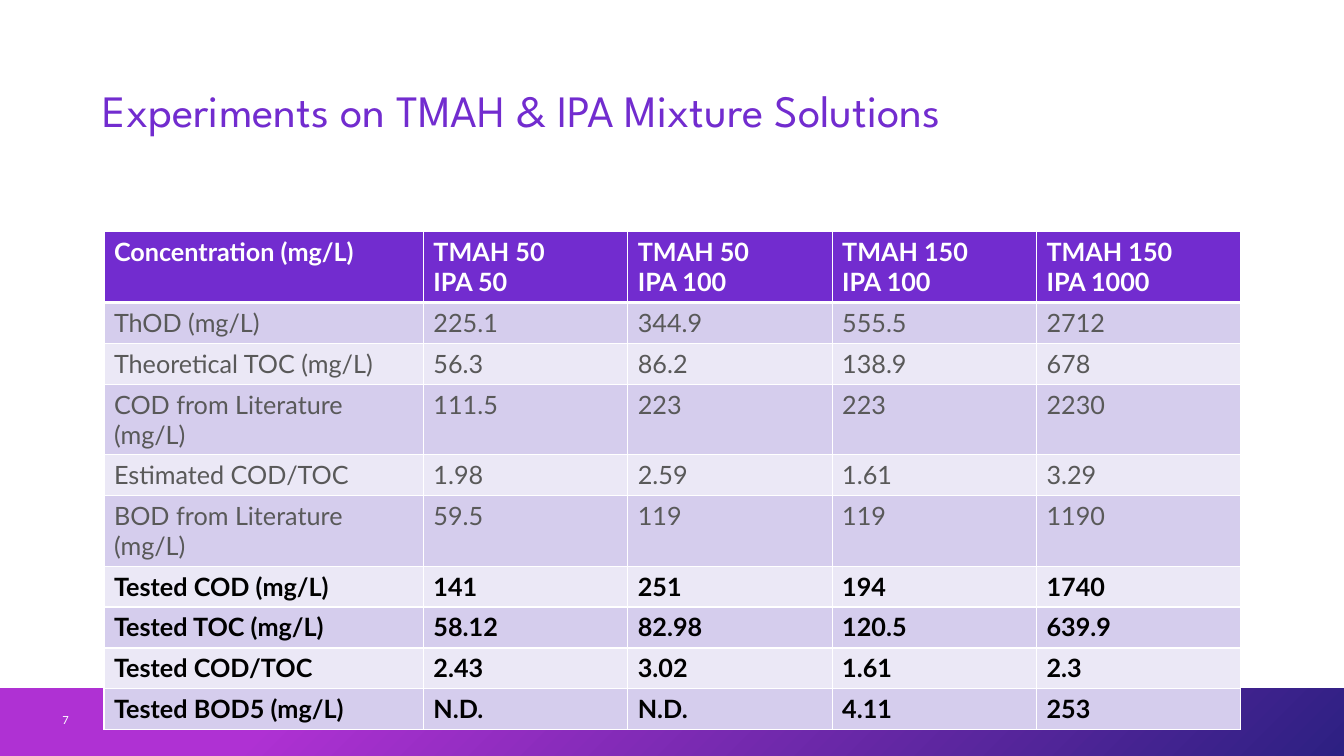
from lxml.etree import SubElement
from pptx import Presentation
from pptx.dml.color import RGBColor
from pptx.enum.shapes import MSO_SHAPE
from pptx.enum.text import MSO_ANCHOR, PP_ALIGN
from pptx.oxml.ns import qn
from pptx.util import Cm, Pt

PURPLE, WHITE, GREY, BLACK = "722CCF", "FFFFFF", "595959", "000000"
BANDS = ("D5CDED", "EBE8F6")
FIRST_TESTED = 6
ROWS = [
    ("Concentration (mg/L)", "TMAH 50\nIPA 50", "TMAH 50\nIPA 100", "TMAH 150\nIPA 100", "TMAH 150\nIPA 1000"),
    ("ThOD (mg/L)", "225.1", "344.9", "555.5", "2712"),
    ("Theoretical TOC (mg/L)", "56.3", "86.2", "138.9", "678"),
    ("COD from Literature (mg/L)", "111.5", "223", "223", "2230"),
    ("Estimated COD/TOC", "1.98", "2.59", "1.61", "3.29"),
    ("BOD from Literature (mg/L)", "59.5", "119", "119", "1190"),
    ("Tested COD (mg/L)", "141", "251", "194", "1740"),
    ("Tested TOC (mg/L)", "58.12", "82.98", "120.5", "639.9"),
    ("Tested COD/TOC", "2.43", "3.02", "1.61", "2.3"),
    ("Tested BOD5 (mg/L)", "N.D.", "N.D.", "4.11", "253"),
]


def rgb(color):
    """Turn a hex string into a colour."""
    return RGBColor.from_string(color)


def add_run(p, text, size, color, font="Lato", bold=False):
    """Add one formatted run to a paragraph."""
    r = p.add_run()
    r.text = text
    r.font.name, r.font.size, r.font.bold = font, Pt(size), bold
    r.font.color.rgb = rgb(color)


def set_border(cell, side, width):
    """Draw one white side of a table cell."""
    ln = SubElement(cell._tc.get_or_add_tcPr(), qn(f"a:ln{side}"), w=str(Pt(width)))
    fill = SubElement(ln, qn("a:solidFill"))
    SubElement(fill, qn("a:srgbClr"), val=WHITE)


def add_footer(s, x, y, w, h, number):
    """Draw the gradient band and the page number on it."""
    band = s.shapes.add_shape(MSO_SHAPE.RECTANGLE, x, y, w, h)
    band.shadow.inherit = False
    band.line.fill.background()
    band.fill.gradient()
    band.fill.gradient_angle = 315
    stops = zip(band.fill.gradient_stops, ((0.21, "AF31D3"), (1, "2D2082")))
    for stop, (position, color) in stops:
        stop.position = position
        stop.color.rgb = rgb(color)
    box = s.shapes.add_textbox(x + Cm(1.32), y + Cm(0.3), Cm(1.83), Cm(1.02))
    tf = box.text_frame
    tf.word_wrap = True
    tf.vertical_anchor = MSO_ANCHOR.MIDDLE
    add_run(tf.paragraphs[0], number, 8, WHITE)


def add_title(s, x, y, w, h, text):
    """Place and format the slide title."""
    title = s.shapes.title
    title.left, title.top, title.width, title.height = x, y, w, h
    tf = title.text_frame
    tf.vertical_anchor = MSO_ANCHOR.MIDDLE
    p = tf.paragraphs[0]
    p.alignment = PP_ALIGN.LEFT
    p.line_spacing = 0.9
    add_run(p, text, 32, PURPLE, "League Spartan")


def fill_cell(cell, text, row):
    """Write and format a cell according to its row."""
    header = row == 0
    for side in "LRTB":
        thick = (header and side == "B") or (row == 1 and side == "T")
        set_border(cell, side, 3 if thick else 1)
    cell.fill.solid()
    cell.fill.fore_color.rgb = rgb(PURPLE if header else BANDS[(row - 1) % 2])
    tested = row >= FIRST_TESTED
    color = WHITE if header else BLACK if tested else GREY
    tf = cell.text_frame
    for i, line in enumerate(text.split("\n")):
        p = tf.add_paragraph() if i else tf.paragraphs[0]
        add_run(p, line, 18, color, bold=header or tested)


def add_results(s, x, y, w, row_height, label_width):
    """Build the table with a wide label column and equal value columns."""
    count = len(ROWS[0])
    frame = s.shapes.add_table(len(ROWS), count, x, y, w, row_height * len(ROWS))
    table = frame.table
    for i, column in enumerate(table.columns):
        column.width = (w - label_width) // (count - 1) if i else label_width
    for i, values in enumerate(ROWS):
        table.rows[i].height = row_height
        for j, text in enumerate(values):
            fill_cell(table.cell(i, j), text, i)


def main():
    """Build and save the slide."""
    prs = Presentation()
    prs.slide_width, prs.slide_height = Cm(33.87), Cm(19.05)
    s = prs.slides.add_slide(prs.slide_layouts[5])
    add_footer(s, 0, Cm(17.34), prs.slide_width, Cm(1.71), "7")
    add_title(s, Cm(2.33), Cm(1.01), Cm(29.21), Cm(3.68), "Experiments on TMAH & IPA Mixture Solutions")
    add_results(s, Cm(2.62), Cm(5.84), Cm(28.65), Cm(1.03), Cm(8.05))
    prs.save("out.pptx")


if __name__ == "__main__":
    main()
